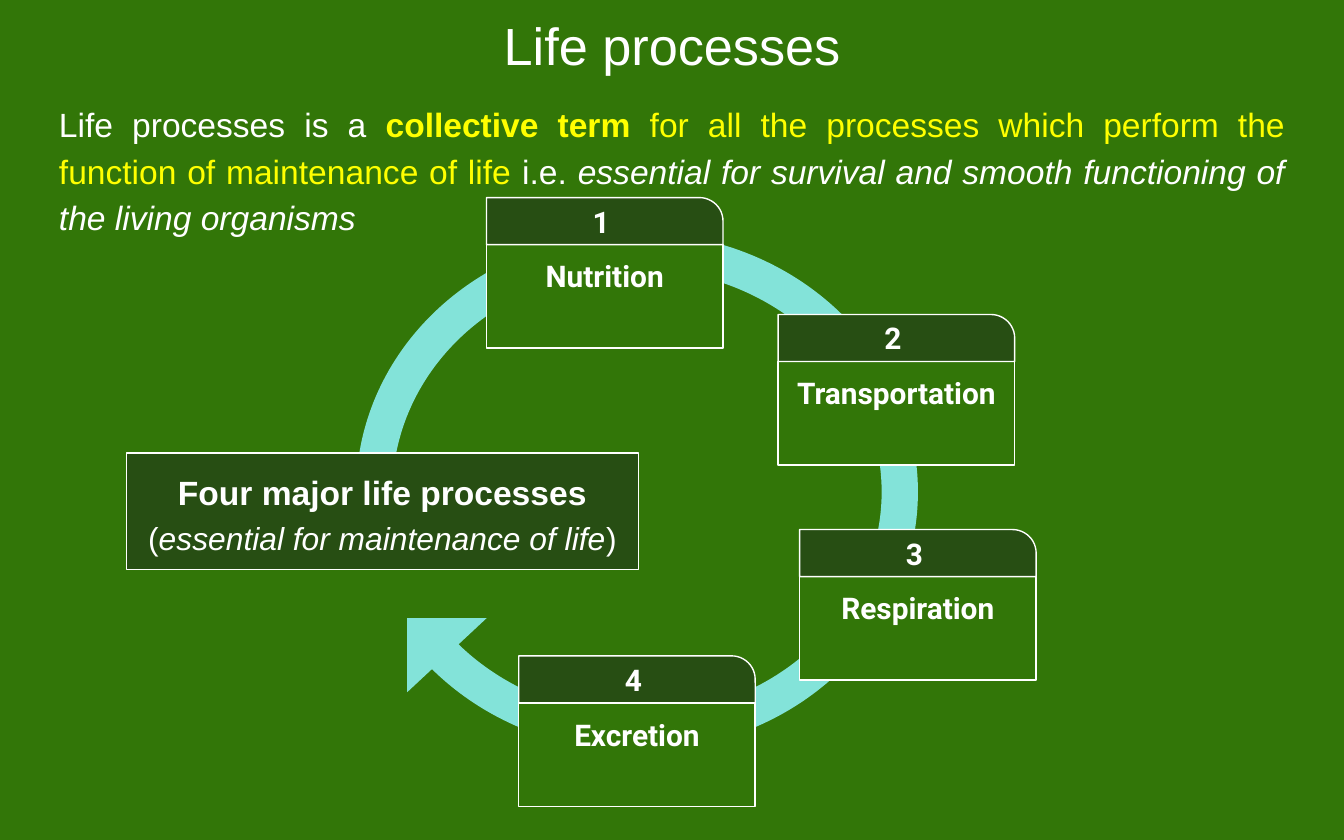
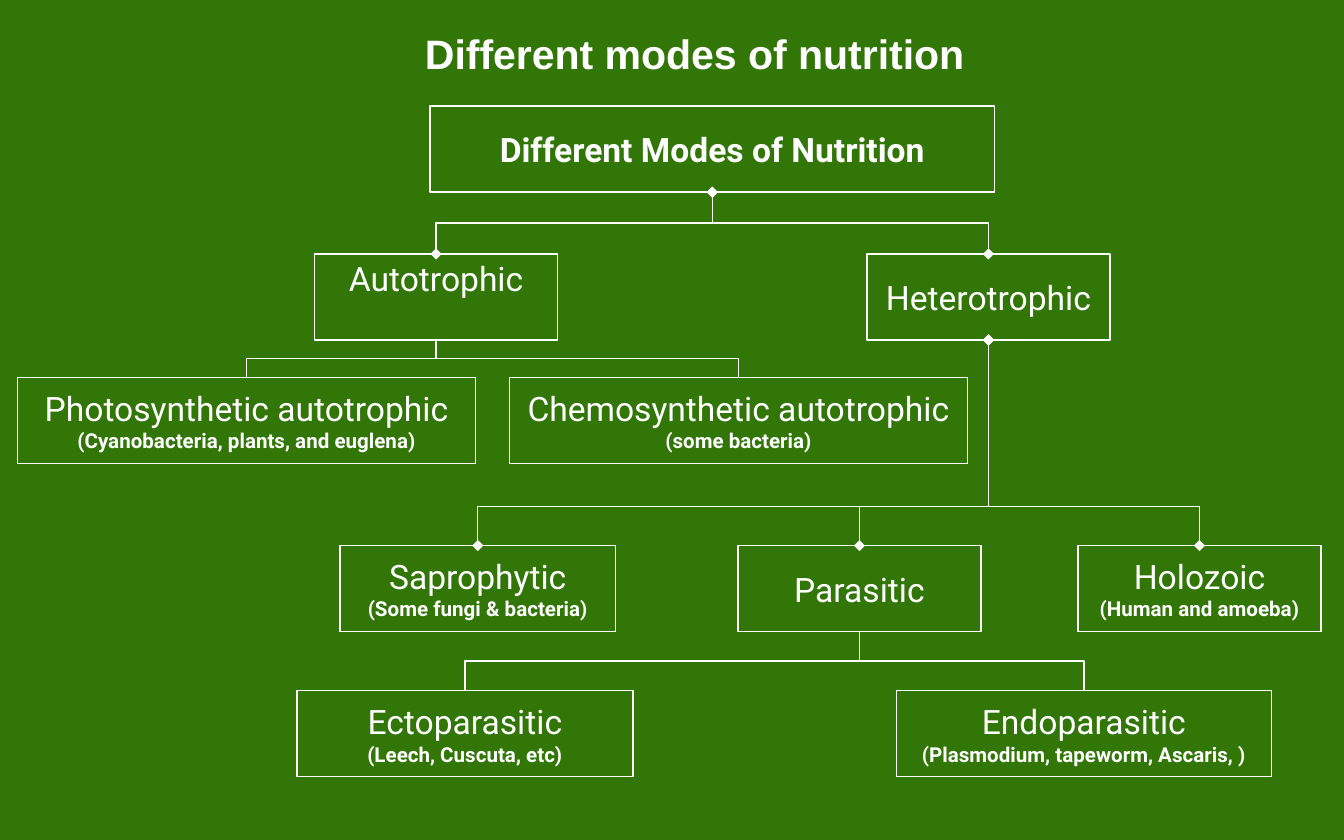
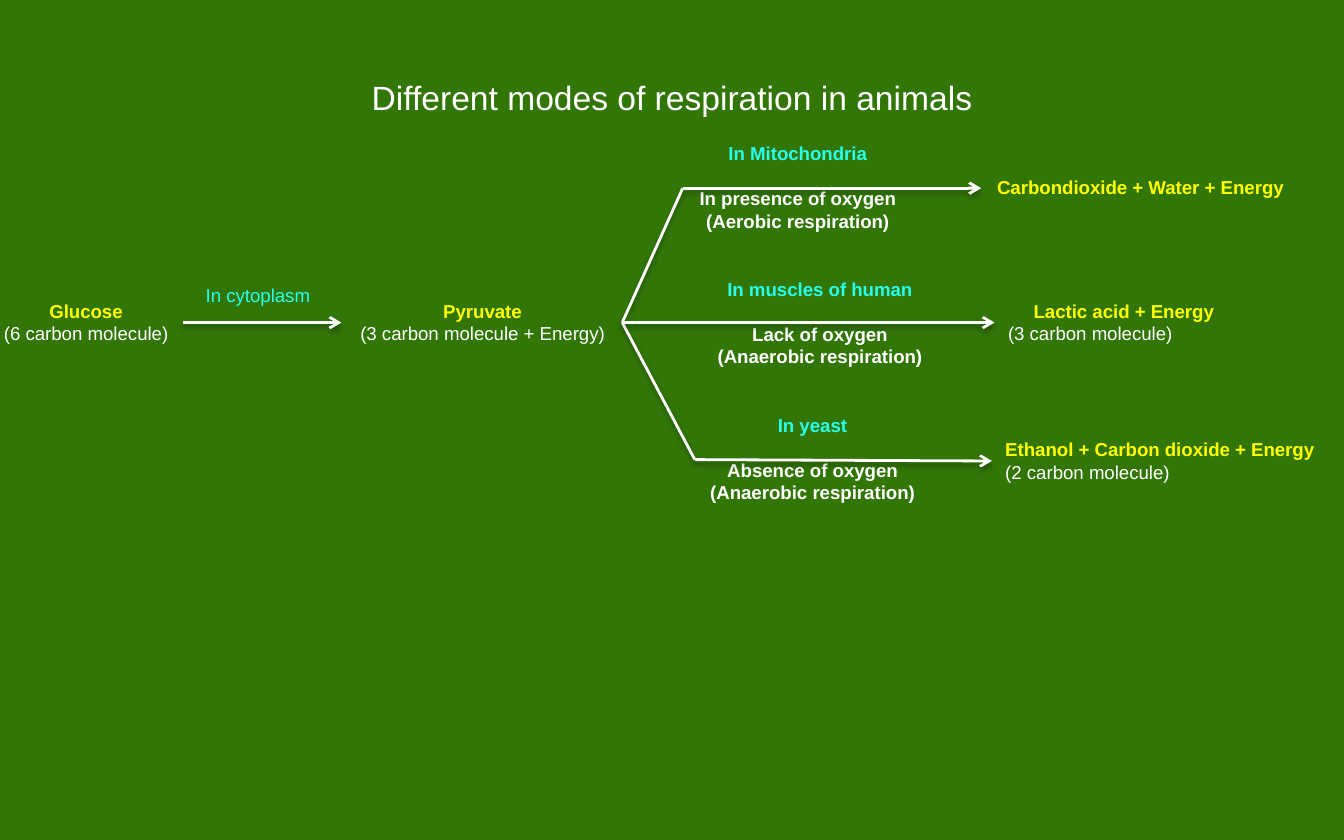
from lxml.etree import SubElement
from pptx import Presentation
from pptx.dml.color import RGBColor
from pptx.enum.shapes import MSO_CONNECTOR as Connector, MSO_SHAPE as Shape
from pptx.enum.text import MSO_ANCHOR as Anchor, PP_ALIGN as Align
from pptx.oxml.ns import qn
from pptx.util import Inches, Pt

GREEN = "327608"
DARK_GREEN = "274E13"
AQUA = "83E3D9"
CYAN = "27FFEB"
YELLOW = "FFFF00"
WHITE = "FFFFFF"
SANS = "Arial"
ROBOTO = "Roboto"
TITLE_ONLY = 5


def rgb(value):
    return RGBColor.from_string(value)


def format_font(font, size=None, color=None, bold=None, italic=None, name=None):
    """Set only the font properties that are given."""
    if size:
        font.size = Pt(size)
    if color:
        font.color.rgb = rgb(color)
    if bold is not None:
        font.bold = bold
    if italic is not None:
        font.italic = italic
    if name:
        font.name = name


def add_paragraph(frame, runs, align=Align.CENTER, indent=0, **font):
    """Add a paragraph; runs is a string or a list of (text, font changes)."""
    first = frame.paragraphs[0]
    paragraph = frame.add_paragraph() if first.runs else first
    paragraph.alignment = align
    if indent:
        paragraph._p.get_or_add_pPr().set("marL", str(Inches(indent)))
    format_font(paragraph.font, **font)
    if isinstance(runs, str):
        runs = [(runs, {})]
    for text, changes in runs:
        run = paragraph.add_run()
        run.text = text
        format_font(run.font, **changes)
    return paragraph


def set_frame(frame, side=0.1, ends=0.1, anchor=Anchor.TOP):
    frame.word_wrap = True
    frame.margin_left = frame.margin_right = Inches(side)
    frame.margin_top = frame.margin_bottom = Inches(ends)
    frame.vertical_anchor = anchor


def add_slide(presentation, title, size, left=0.34, top=0, bold=False):
    slide = presentation.slides.add_slide(presentation.slide_layouts[TITLE_ONLY])
    shape = slide.shapes.title
    shape.left, shape.top = Inches(left), Inches(top)
    shape.width, shape.height = Inches(9.32), Inches(0.63)
    set_frame(shape.text_frame)
    add_paragraph(shape.text_frame, title, size=size, color=WHITE, bold=bold, name=SANS)
    return slide


def add_text_box(slide, left, top, width, height, **frame_options):
    box = slide.shapes.add_textbox(
        Inches(left), Inches(top), Inches(width), Inches(height))
    set_frame(box.text_frame, **frame_options)
    return box.text_frame


def add_shape(slide, kind, left, top, width, height, fill=None, outlined=True):
    shape = slide.shapes.add_shape(
        kind, Inches(left), Inches(top), Inches(width), Inches(height))
    shape.shadow.inherit = False
    if fill:
        shape.fill.solid()
        shape.fill.fore_color.rgb = rgb(fill)
    else:
        shape.fill.background()
    if outlined:
        shape.line.color.rgb = rgb(WHITE)
        shape.line.width = Pt(0.75)
    else:
        shape.line.fill.background()
    set_frame(shape.text_frame)
    return shape


def style_line(connector, width, head=None, tail=None, shadow=False):
    connector.line.color.rgb = rgb(WHITE)
    connector.line.width = Pt(width)
    properties = connector._element.spPr
    line = properties.find(qn("a:ln"))
    for tag, end in (("a:headEnd", head), ("a:tailEnd", tail)):
        if end:
            SubElement(line, qn(tag), type=end)
    effects = SubElement(properties, qn("a:effectLst"))
    if shadow:
        outer = SubElement(effects, qn("a:outerShdw"), blurRad=str(Pt(3.1)),
                           dist=str(Pt(1.8)), dir="5400000", rotWithShape="0")
        black = SubElement(outer, qn("a:srgbClr"), val="000000")
        SubElement(black, qn("a:alpha"), val="35000")


def add_arrow(slide, start, end, tail="arrow"):
    points = [Inches(value) for value in (*start, *end)]
    connector = slide.shapes.add_connector(Connector.STRAIGHT, *points)
    style_line(connector, 1.5, tail=tail, shadow=True)


def add_branch(slide, parent, child, bend=0.5, end=None):
    """Join parent's bottom to child's top with an elbow that starts downwards."""
    start_x, start_y = parent.left + parent.width // 2, parent.top + parent.height
    end_x, end_y = child.left + child.width // 2, child.top
    across, down = abs(end_x - start_x), end_y - start_y
    connector = slide.shapes.add_connector(Connector.ELBOW, 0, 0, 0, 0)
    connector.begin_connect(parent, 2)
    connector.end_connect(child, 0)
    # The elbow runs sideways by default, so it is laid out turned by 90 degrees.
    connector.left = (start_x + end_x - down) // 2
    connector.top = (start_y + end_y - across) // 2
    connector.width, connector.height = down, across
    to_right = end_x > start_x
    frame = connector._element.spPr.find(qn("a:xfrm"))
    frame.set("rot", str((270 if to_right else 90) * 60000))
    frame.set("flipH", "1" if to_right else "0")
    frame.set("flipV", "0")
    guides = connector._element.spPr.find(qn("a:prstGeom")).find(qn("a:avLst"))
    SubElement(guides, qn("a:gd"), name="adj1", fmla=f"val {round(bend * 100000)}")
    style_line(connector, 0.75, head=end, tail=end)


def add_process_card(slide, number, name, left, top):
    width, tab_height = 1.76, 0.35
    font = dict(size=16, color=WHITE, bold=True, name=ROBOTO)
    body = add_shape(slide, Shape.RECTANGLE, left, top + tab_height, width, 0.77, GREEN)
    add_paragraph(body.text_frame, name, **font)
    tab = add_shape(slide, Shape.ROUND_1_RECTANGLE, left, top, width, tab_height, DARK_GREEN)
    tab.adjustments[0] = 0.5
    tab.text_frame.vertical_anchor = Anchor.MIDDLE
    add_paragraph(tab.text_frame, str(number), **font)


def add_mode(slide, name, left, top, width=1.81, examples=None, bold=False):
    box = add_shape(slide, Shape.RECTANGLE, left, top, width, 0.64)
    box.text_frame.vertical_anchor = Anchor.MIDDLE
    add_paragraph(box.text_frame, name, size=18, color=WHITE, bold=bold, name=ROBOTO)
    if examples:
        add_paragraph(box.text_frame, examples, size=11, color=WHITE, bold=True, name=ROBOTO)
    return box


def add_label(slide, left, top, width, height):
    return add_text_box(slide, left, top, width, height, side=0, ends=0.05)


def add_molecule(slide, name, left, top, width, detail=None, align=Align.CENTER, indent=0):
    frame = add_label(slide, left, top, width, 0.44 if detail else 0.27)
    add_paragraph(frame, name, align, indent, size=10, color=YELLOW, bold=True, name=SANS)
    if detail:
        add_paragraph(frame, detail, align, size=10, color=WHITE, bold=False, name=SANS)


def add_pathway(slide, place, oxygen, kind, left, top, width):
    """Write the place above a pathway's arrow and its conditions below."""
    font = dict(size=10, bold=True, name=SANS)
    frame = add_label(slide, left, top, width, 0.77)
    add_paragraph(frame, place, color=CYAN, **font)
    condition = add_paragraph(frame, oxygen, color=WHITE, **font)
    condition.space_before = Pt(12)
    add_paragraph(frame, kind, color=WHITE, **font)


def build_life_processes(presentation):
    slide = add_slide(presentation, "Life processes", 28)
    definition = add_text_box(slide, 0.34, 0.63, 9.32, 1.36)
    paragraph = add_paragraph(definition, [
        ("Life processes is a ", {}),
        ("collective term ", dict(color=YELLOW, bold=True)),
        ("for all the processes which perform the function of maintenance of life",
         dict(color=YELLOW)),
        (" i.e. ", {}),
        ("essential for survival and smooth functioning of the living organisms",
         dict(italic=True)),
    ], Align.JUSTIFY, size=18, color=WHITE, name=SANS)
    paragraph.line_spacing = 1.15

    ring = add_shape(slide, Shape.BLOCK_ARC, 2.81, 1.57, 3.86, 4.18, AQUA, outlined=False)
    for index, value in enumerate((54, 30.13, 0.07)):
        ring.adjustments[index] = value
    arrowhead = add_shape(
        slide, Shape.RIGHT_TRIANGLE, 3.05, 4.58, 0.55, 0.59, AQUA, outlined=False)
    ring.rotation = arrowhead.rotation = 90

    cards = [("Nutrition", 3.62, 1.47), ("Transportation", 5.79, 2.34),
             ("Respiration", 5.95, 3.94), ("Excretion", 3.86, 4.88)]
    for number, (name, left, top) in enumerate(cards, start=1):
        add_process_card(slide, number, name, left, top)

    summary = add_shape(slide, Shape.RECTANGLE, 0.94, 3.37, 3.81, 0.87, DARK_GREEN).text_frame
    heading = add_paragraph(summary, "Four major life processes",
                            size=18, color=WHITE, bold=True, name=SANS)
    purpose = add_paragraph(summary, [
        ("(", {}),
        ("essential for maintenance of life", dict(italic=True)),
        (")", {}),
    ], size=17, color=WHITE, name=SANS)
    heading.line_spacing = purpose.line_spacing = 1.15


def build_nutrition_modes(presentation):
    slide = add_slide(presentation, "Different modes of nutrition", 22,
                      left=0.51, top=0.11, bold=True)
    kind_top, autotroph_top, heterotroph_top, parasite_top = 1.89, 2.81, 4.06, 5.14
    root = add_mode(slide, "Different Modes of Nutrition", 3.2, 0.79, 4.2, bold=True)
    autotrophic = add_mode(slide, "Autotrophic", 2.34, kind_top)
    autotrophic.text_frame.vertical_anchor = Anchor.TOP
    autotrophic.text_frame.margin_top = Inches(0.03)
    heterotrophic = add_mode(slide, "Heterotrophic", 6.45, kind_top)
    photosynthetic = add_mode(slide, "Photosynthetic autotrophic", 0.13, autotroph_top, 3.41,
                              "(Cyanobacteria, plants, and euglena)")
    chemosynthetic = add_mode(slide, "Chemosynthetic autotrophic", 3.79, autotroph_top, 3.41,
                              "(some bacteria)")
    saprophytic = add_mode(slide, "Saprophytic", 2.53, heterotroph_top, 2.05,
                           "(Some fungi & bacteria)")
    parasitic = add_mode(slide, "Parasitic", 5.49, heterotroph_top)
    holozoic = add_mode(slide, "Holozoic", 8.02, heterotroph_top,
                        examples="(Human and amoeba)")
    ectoparasitic = add_mode(slide, "Ectoparasitic", 2.21, parasite_top, 2.5,
                             "(Leech, Cuscuta, etc)")
    endoparasitic = add_mode(slide, "Endoparasitic", 6.67, parasite_top, 2.79,
                             "(Plasmodium, tapeworm, Ascaris, )")

    branches = [
        (root, (autotrophic, heterotrophic), 0.5, "diamond"),
        (autotrophic, (photosynthetic, chemosynthetic), 0.5, None),
        (heterotrophic, (saprophytic, parasitic, holozoic), 0.81, "diamond"),
        (parasitic, (ectoparasitic, endoparasitic), 0.5, None),
    ]
    for parent, children, bend, end in branches:
        for child in children:
            add_branch(slide, parent, child, bend, end)


def build_respiration_modes(presentation):
    slide = add_slide(presentation, "Different modes of respiration in animals", 18, top=0.47)
    add_molecule(slide, "Glucose", 0.02, 2.18, 1.24, "(6 carbon molecule)")
    add_molecule(slide, "Pyruvate", 2.64, 2.18, 1.9, "(3 carbon molecule + Energy)")
    add_molecule(slide, "Carbondioxide + Water + Energy", 7.4, 1.26, 2.17)
    add_molecule(slide, "Lactic acid + Energy", 7.5, 2.18, 1.72, "(3 carbon molecule)",
                 Align.LEFT, indent=0.19)
    add_molecule(slide, "Ethanol + Carbon dioxide + Energy", 7.48, 3.21, 2.4,
                 "(2 carbon molecule)", Align.LEFT)

    add_pathway(slide, "In Mitochondria", "In presence of oxygen",
                "(Aerobic respiration)", 5.18, 1.01, 1.51)
    add_pathway(slide, "In muscles of human", "Lack of oxygen",
                "(Anaerobic respiration)", 5.31, 2.02, 1.58)
    add_pathway(slide, "In yeast", "Absence of oxygen",
                "(Anaerobic respiration)", 5.27, 3.03, 1.55)
    cytoplasm = add_label(slide, 1.53, 2.06, 0.85, 0.27)
    add_paragraph(cytoplasm, "In cytoplasm", Align.LEFT, size=10, color=CYAN, name=SANS)

    fork, aerobic, yeast = (4.63, 2.4), (5.08, 1.4), (5.17, 3.42)
    add_arrow(slide, (1.36, 2.4), (2.54, 2.4))
    add_arrow(slide, fork, aerobic, tail=None)
    add_arrow(slide, fork, yeast, tail=None)
    add_arrow(slide, yeast, (7.38, 3.43))
    add_arrow(slide, aerobic, (7.3, 1.4))
    add_arrow(slide, fork, (7.4, 2.4))


def main():
    presentation = Presentation()
    presentation.slide_width, presentation.slide_height = Inches(10), Inches(6.25)
    background = presentation.slide_master.background.fill
    background.solid()
    background.fore_color.rgb = rgb(GREEN)
    build_life_processes(presentation)
    build_nutrition_modes(presentation)
    build_respiration_modes(presentation)
    presentation.save("out.pptx")


if __name__ == "__main__":
    main()
